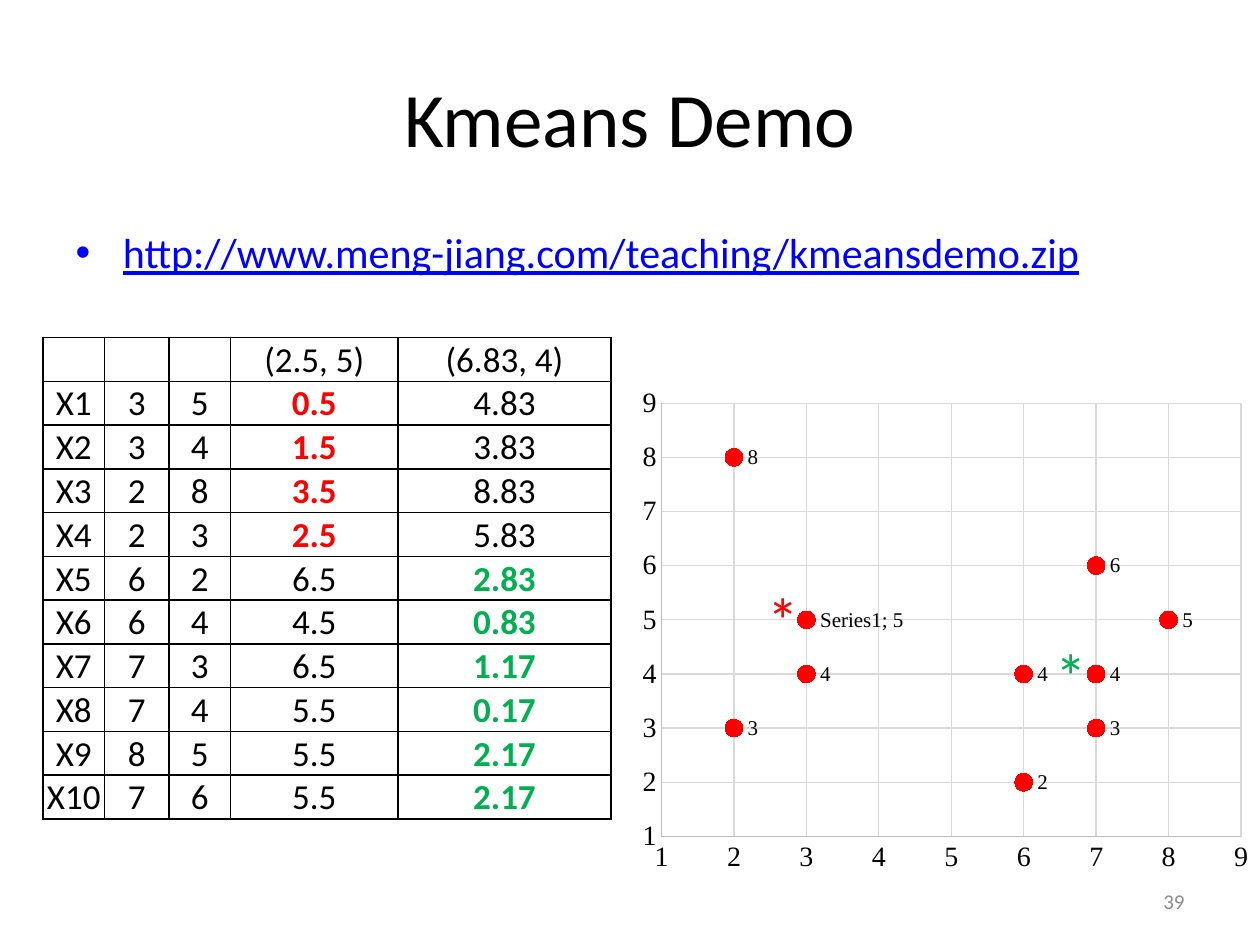
from lxml.etree import SubElement
from pptx import Presentation
from pptx.chart.data import XyChartData
from pptx.dml.color import RGBColor
from pptx.enum.chart import XL_CHART_TYPE, XL_LABEL_POSITION, XL_MARKER_STYLE, XL_TICK_MARK
from pptx.enum.text import MSO_ANCHOR, PP_ALIGN
from pptx.oxml import parse_xml
from pptx.oxml.ns import nsdecls, qn
from pptx.util import Inches, Pt

BLACK = RGBColor(0x00, 0x00, 0x00)
RED = RGBColor(0xFF, 0x00, 0x00)
GREEN = RGBColor(0x00, 0xB0, 0x50)
BLUE = RGBColor(0x00, 0x00, 0xFF)
GRAY = RGBColor(0x8C, 0x8C, 0x8C)
AXIS = RGBColor(0xBF, 0xBF, 0xBF)
GRID = RGBColor(0xD9, 0xD9, 0xD9)

POINTS = [(3, 5), (3, 4), (2, 8), (2, 3), (6, 2), (6, 4), (7, 3), (7, 4), (8, 5), (7, 6)]
CENTROIDS = [(2.5, 5), (6.83, 4)]
CLUSTER_COLORS = [RED, GREEN]


def grid(*cells):
    """Turn columns and rows of a 100 by 75 grid into lengths."""
    return [Inches(c / 10) for c in cells]


def write(tf, text, size, color=BLACK, align=None, bold=False, underline=None):
    p = tf.paragraphs[0]
    p.alignment = align
    r = p.add_run()
    r.text = text
    r.font.name = "Calibri"
    r.font.size = Pt(size)
    r.font.bold = bold
    r.font.underline = underline
    r.font.color.rgb = color


prs = Presentation()
prs.slide_width, prs.slide_height = grid(100, 75)
s = prs.slides.add_slide(prs.slide_layouts.get_by_name("Title and Content"))

# Title and link
title, body = s.placeholders
title.left, title.top, title.width, title.height = grid(5, 3, 90, 12.5)
body.left, body.top, body.width, body.height = grid(5, 17.5, 90, 49.5)
write(title.text_frame, "Kmeans Demo", 44, align=PP_ALIGN.CENTER)
write(body.text_frame, "http://www.meng-jiang.com/teaching/kmeansdemo.zip", 24, BLUE, underline=True)

# Slide number
tf = s.shapes.add_textbox(*grid(71.7, 69.5, 23.3, 4)).text_frame
tf.word_wrap = True
tf.vertical_anchor = MSO_ANCHOR.MIDDLE
write(tf, "39", 12, GRAY, PP_ALIGN.RIGHT)

# Scatter chart of the points
data = XyChartData()
series_data = data.add_series("Series1")
for x, y in POINTS:
    series_data.add_data_point(x, y)
chart = s.shapes.add_chart(XL_CHART_TYPE.XY_SCATTER, *grid(50, 30, 50, 40), data).chart
chart.has_legend = False
chart.has_title = False
chart.font.name = "Times New Roman"
chart.font.size = Pt(16)
chart.font.color.rgb = BLACK

for axis in (chart.category_axis, chart.value_axis):
    axis.minimum_scale, axis.maximum_scale, axis.major_unit = 1, 9, 1
    axis.major_tick_mark = axis.minor_tick_mark = XL_TICK_MARK.NONE
    axis.has_major_gridlines = True
    for line, color in ((axis.format.line, AXIS), (axis.major_gridlines.format.line, GRID)):
        line.color.rgb = color
        line.width = Pt(0.75)

plot_area = chart.plots[0]._element.getparent()
for old in plot_area.findall(qn("c:layout")):
    plot_area.remove(old)
plot_area.insert(0, parse_xml(
    f'<c:layout {nsdecls("c")}><c:manualLayout><c:layoutTarget val="inner"/>'
    '<c:xMode val="edge"/><c:yMode val="edge"/><c:x val="0.05"/><c:y val="0.05"/>'
    '<c:w val="0.92"/><c:h val="0.86"/></c:manualLayout></c:layout>'))

chart.plots[0].vary_by_categories = False
series = chart.plots[0].series[0]
series.format.line.fill.background()
series.marker.style = XL_MARKER_STYLE.CIRCLE
series.marker.size = 10
series.marker.format.fill.solid()
series.marker.format.fill.fore_color.rgb = RED
series.marker.format.line.color.rgb = RED
for i in range(len(POINTS)):
    label = series.points[i].data_label
    label.position = XL_LABEL_POSITION.RIGHT
    label.font.name = "Times New Roman"
    label.font.size = Pt(12)
    label.font.color.rgb = BLACK

# The first label also shows the series name
first = series._element.find(".//" + qn("c:dLbl"))
first.find(qn("c:showSerName")).set("val", "1")
SubElement(first, qn("c:separator")).text = "; "

# Centroid marks
for (left, top), color in zip([(59.9, 45.6), (82.8, 50)], CLUSTER_COLORS):
    tf = s.shapes.add_textbox(*grid(left, top, 4.7, 7.1)).text_frame
    tf.word_wrap = False
    write(tf, "*", 36, color)

# Manhattan distances to each centroid, the nearest one highlighted
rows = [[("", BLACK)] * 3 + [(f"({cx}, {cy})", BLACK) for cx, cy in CENTROIDS]]
for i, (x, y) in enumerate(POINTS, 1):
    distances = [round(abs(x - cx) + abs(y - cy), 2) for cx, cy in CENTROIDS]
    rows.append([(text, BLACK) for text in (f"X{i}", str(x), str(y))]
                + [(f"{d:g}", color if d == min(distances) else BLACK)
                   for d, color in zip(distances, CLUSTER_COLORS)])

table = s.shapes.add_table(len(rows), 5, *grid(3.4, 26.8, 45.1, 38.2)).table
table.first_row = table.horz_banding = False
for column, width in zip(table.columns, grid(4.9, 5.1, 4.9, 13.3, 16.9)):
    column.width = width
for row, contents in zip(table.rows, rows):
    row.height = Inches(3.82 / len(rows))
    for cell, (text, color) in zip(row.cells, contents):
        cell.margin_left = cell.margin_right = cell.margin_top = Inches(0.01)
        cell.margin_bottom = 0
        cell.vertical_anchor = MSO_ANCHOR.BOTTOM
        if text:
            write(cell.text_frame, text, 20, color, PP_ALIGN.CENTER, bold=color != BLACK)
        tc_pr = cell._tc.get_or_add_tcPr()
        for side in "LRTB":
            tc_pr.append(parse_xml(
                f'<a:ln{side} {nsdecls("a")} w="{Pt(1)}"><a:solidFill>'
                f'<a:srgbClr val="{BLACK}"/></a:solidFill></a:ln{side}>'))
        cell.fill.background()

prs.save("out.pptx")
